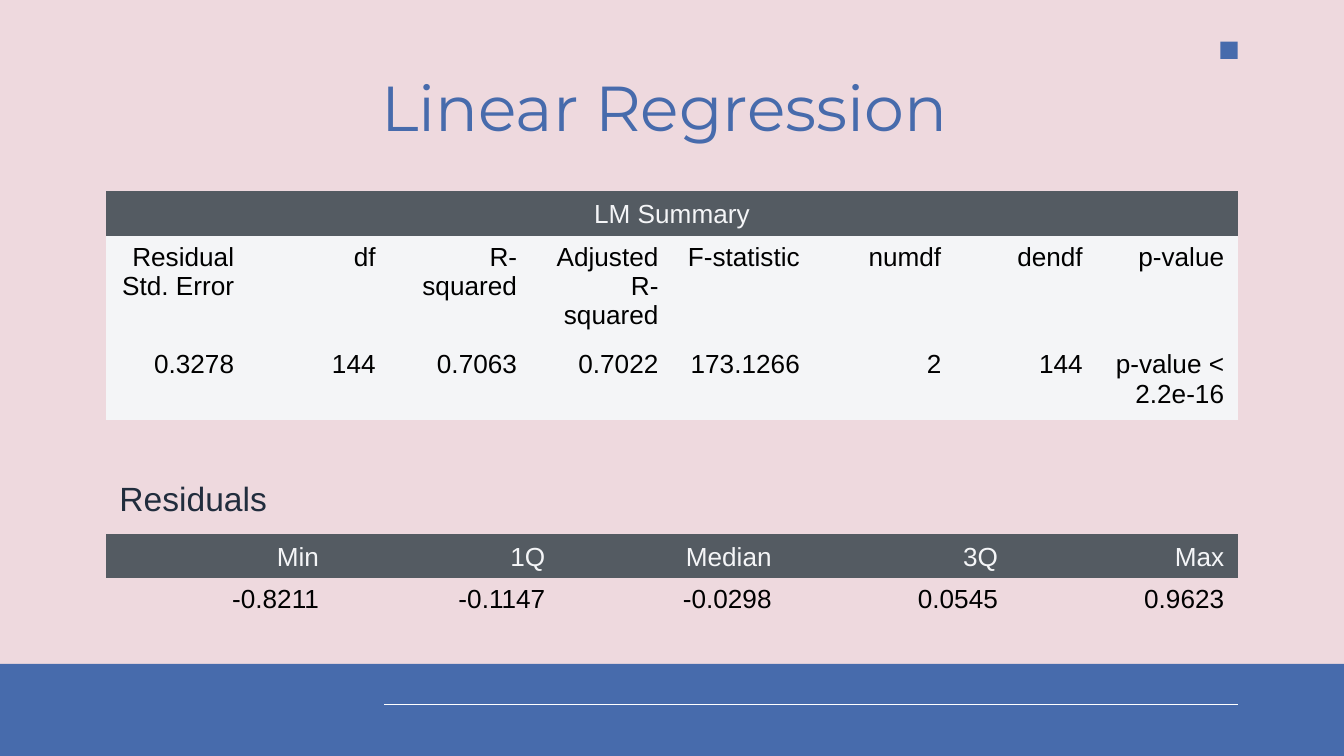
from lxml.etree import SubElement
from pptx import Presentation
from pptx.dml.color import RGBColor
from pptx.enum.shapes import MSO_CONNECTOR, MSO_SHAPE
from pptx.enum.text import MSO_ANCHOR, PP_ALIGN
from pptx.oxml.ns import qn
from pptx.util import Inches, Pt

BLUE = "476BAC"
SLATE = "545B62"
PALE = "F4F5F7"
NO_STYLE_NO_GRID = "{2D5ABB26-0587-4C30-8999-92F81FD0307C}"


def paint(color_format, color):
    color_format.rgb = RGBColor.from_string(color)


def write(frame, text, size=14, font="Arial", color="000000", align=PP_ALIGN.RIGHT):
    paragraph = frame.paragraphs[0]
    paragraph.alignment = align
    run = paragraph.add_run()
    run.text = text
    run.font.size = Pt(size)
    run.font.name = font
    paint(run.font.color, color)


presentation = Presentation()
presentation.slide_width = Inches(10)
presentation.slide_height = Inches(5.625)
slide = presentation.slides.add_slide(presentation.slide_layouts[6])
slide.background.fill.solid()
paint(slide.background.fill.fore_color, "EED9DE")

for left, top, width, height in [(0, 4.94, 10, 0.69), (9.08, 0.31, 0.13, 0.13)]:
    block = slide.shapes.add_shape(
        MSO_SHAPE.RECTANGLE, Inches(left), Inches(top), Inches(width), Inches(height)
    )
    block.shadow.inherit = False
    block.fill.solid()
    paint(block.fill.fore_color, BLUE)
    block.line.fill.background()

footer_rule = slide.shapes.add_connector(
    MSO_CONNECTOR.STRAIGHT, Inches(2.86), Inches(5.24), Inches(9.21), Inches(5.24)
)
paint(footer_rule.line.color, "FFFFFF")
footer_rule.line.width = Pt(0.75)
SubElement(footer_rule._element.spPr, qn("a:effectLst"))

title = slide.shapes.add_textbox(Inches(2.56), Inches(0.41), Inches(4.89), Inches(0.63)).text_frame
title.word_wrap = True
title.margin_left = title.margin_right = title.margin_top = title.margin_bottom = Inches(0.1)
write(title, "Linear Regression ", size=34, font="Montserrat", color=BLUE, align=PP_ALIGN.CENTER)

summary = [
    ["LM Summary"],
    ["Residual Std. Error", "df", "R-squared", "Adjusted R-squared",
     "F-statistic", "numdf", "dendf", "p-value"],
    ["0.3278", "144", "0.7063", "0.7022", "173.1266", "2", "144", "p-value < 2.2e-16"],
]
residuals = [
    ["Min", "1Q", "Median", "3Q", "Max"],
    ["-0.8211", "-0.1147", "-0.0298", "0.0545", "0.9623"],
]

for top, row_heights, rows, body_fill in [
    (1.42, [0.33, 0.8, 0.57], summary, PALE),
    (3.97, [0.33, 0.33], residuals, None),
]:
    column_count = len(rows[-1])
    frame = slide.shapes.add_table(
        len(rows), column_count, Inches(0.79), Inches(top), Inches(8.42), Inches(sum(row_heights))
    )
    table = frame.table
    table._tbl.tblPr.find(qn("a:tableStyleId")).text = NO_STYLE_NO_GRID
    for row, height in zip(table.rows, row_heights):
        row.height = Inches(height)
    if len(rows[0]) == 1:
        table.cell(0, 0).merge(table.cell(0, column_count - 1))
    for row_index, values in enumerate(rows):
        is_header = row_index == 0
        fill = SLATE if is_header else body_fill
        for column_index, value in enumerate(values):
            cell = table.cell(row_index, column_index)
            if fill:
                cell.fill.solid()
                paint(cell.fill.fore_color, fill)
            else:
                cell.fill.background()
            cell.vertical_anchor = MSO_ANCHOR.BOTTOM if is_header else MSO_ANCHOR.TOP
            write(
                cell.text_frame,
                value,
                color=PALE if is_header else "000000",
                align=PP_ALIGN.CENTER if len(values) == 1 else PP_ALIGN.RIGHT,
            )

heading = slide.shapes.add_textbox(Inches(0.79), Inches(3.51), Inches(1.31), Inches(0.4)).text_frame
heading.word_wrap = False
heading.vertical_anchor = MSO_ANCHOR.MIDDLE
write(heading, "Residuals", size=18, color="212D3D", align=PP_ALIGN.LEFT)

presentation.save("out.pptx")
